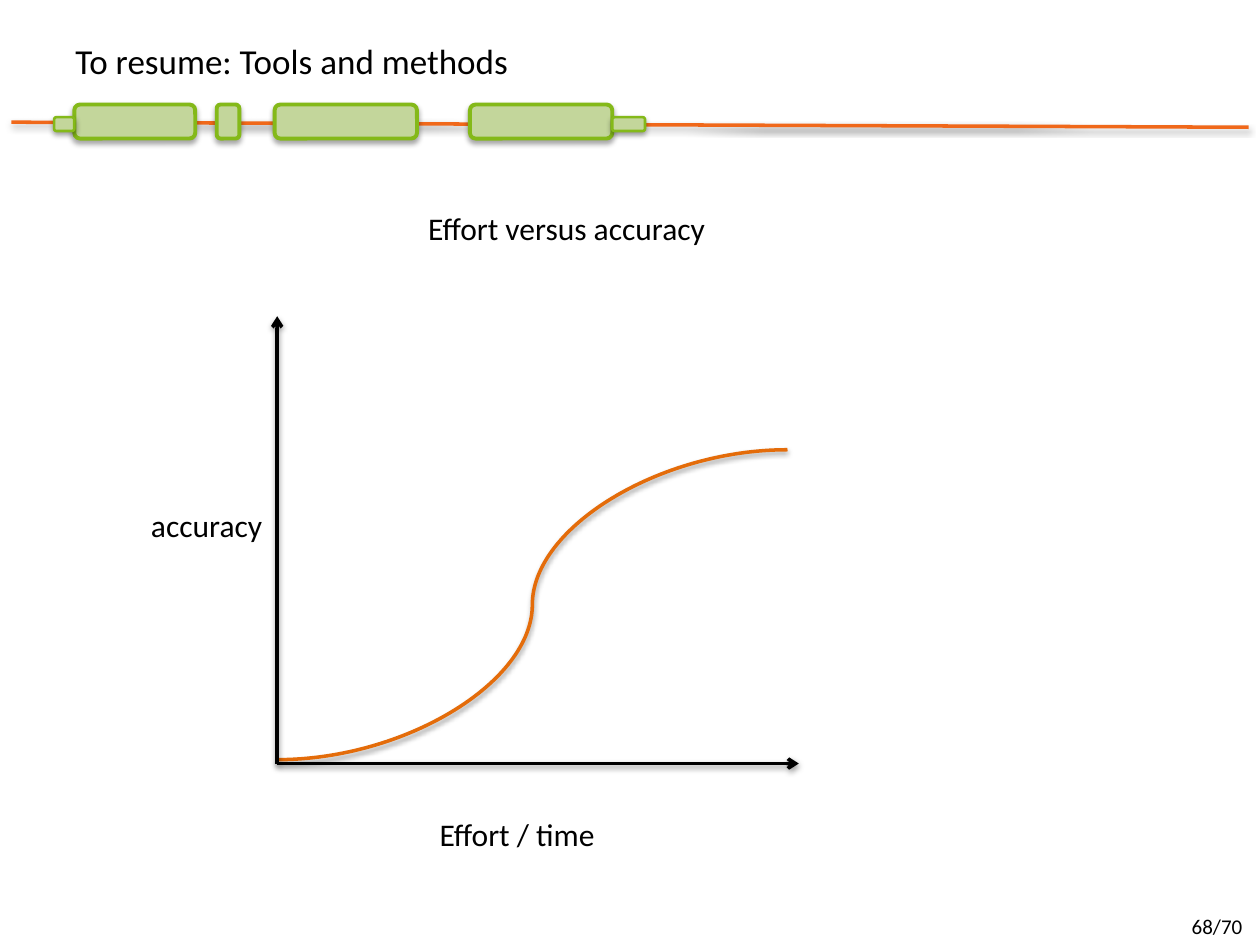
from dataclasses import dataclass

from lxml import etree
from pptx import Presentation
from pptx.dml.color import RGBColor
from pptx.enum import shapes, text
from pptx.oxml import ns
from pptx.util import Inches, Pt


@dataclass(frozen=True)
class Theme:
    font: str = "Calibri"
    ink: str = "000000"
    strand: str = "F0681A"
    exon_fill: str = "C3D69B"
    exon_line: str = "84B919"
    curve: str = "E46C0A"
    title_size: int = 20
    body_size: int = 18
    page_size: int = 12


def add_shadow(sp_pr, opacity, distance):
    """Soft shadow falling straight down."""
    effects = sp_pr.find(ns.qn("a:effectLst"))
    if effects is None:
        effects = etree.SubElement(sp_pr, ns.qn("a:effectLst"))
    shadow = etree.SubElement(
        effects, ns.qn("a:outerShdw"), blurRad=str(Pt(3.1)),
        dist=str(Pt(distance)), dir="5400000", rotWithShape="0")
    color = etree.SubElement(shadow, ns.qn("a:srgbClr"), val="000000")
    etree.SubElement(color, ns.qn("a:alpha"), val=str(opacity * 1000))


def write(frame, words, *, theme, size, wrap=True, anchor=text.MSO_ANCHOR.TOP):
    frame.word_wrap = wrap
    frame.vertical_anchor = anchor
    run = frame.paragraphs[0].add_run()
    run.text = words
    run.font.name = theme.font
    run.font.size = Pt(size)
    run.font.color.rgb = RGBColor.from_string(theme.ink)


class SlideBuilder:
    def __init__(self, slide, theme):
        self.slide = slide
        self.theme = theme

    def label(self, words, left, top, width, height, **style):
        box = self.slide.shapes.add_textbox(
            Inches(left), Inches(top), Inches(width), Inches(height))
        write(box.text_frame, words, theme=self.theme, **style)

    def line(self, start, end, color, kind=shapes.MSO_CONNECTOR.STRAIGHT, arrow=False):
        connector = self.slide.shapes.add_connector(
            kind, *(Inches(value) for value in (*start, *end)))
        connector.line.color.rgb = RGBColor.from_string(color)
        connector.line.width = Pt(2)
        if arrow:
            etree.SubElement(connector.line._get_or_add_ln(),
                             ns.qn("a:tailEnd"), type="arrow")
        add_shadow(connector._element.spPr, 38, 1.6)

    def exon(self, left, top, width, height, weight):
        block = self.slide.shapes.add_shape(
            shapes.MSO_SHAPE.ROUNDED_RECTANGLE,
            Inches(left), Inches(top), Inches(width), Inches(height))
        block.fill.solid()
        block.fill.fore_color.rgb = RGBColor.from_string(self.theme.exon_fill)
        block.line.color.rgb = RGBColor.from_string(self.theme.exon_line)
        block.line.width = Pt(weight)
        block.shadow.inherit = False
        add_shadow(block._element.spPr, 35, 1.8)


def main():
    deck = Presentation()
    deck.slide_width, deck.slide_height = Inches(10), Inches(7.5)
    theme = Theme()
    page = SlideBuilder(deck.slides.add_slide(deck.slide_layouts[6]), theme)

    # Gene model band: strand, coding exons, untranslated ends
    page.line((0.09, 0.97), (9.91, 1.01), theme.strand)
    for left, width in ((0.59, 0.96), (1.72, 0.18), (2.18, 1.13), (3.73, 1.13)):
        page.exon(left, 0.83, width, 0.27, weight=2.25)
    for left, width in ((4.86, 0.26), (0.43, 0.16)):
        page.exon(left, 0.93, width, 0.11, weight=1.5)

    # Headings
    page.label("To resume: Tools and methods", 0.5, 0.24, 3.75, 0.48,
               size=theme.title_size, anchor=text.MSO_ANCHOR.MIDDLE)
    page.label("Effort versus accuracy", 3.3, 1.61, 2.45, 0.4,
               size=theme.body_size, wrap=False)

    # Saturation curve and its axes
    origin = (2.2, 6.06)
    page.line((2.2, 6.03), (6.25, 3.57), theme.curve, kind=shapes.MSO_CONNECTOR.CURVE)
    for axis_end in ((2.2, 2.51), (6.34, 6.06)):
        page.line(origin, axis_end, theme.ink, arrow=True)

    # Axis names
    page.label("Effort / time", 3.39, 6.42, 1.82, 0.4, size=theme.body_size)
    page.label("accuracy", 1.1, 3.97, 1.1, 0.4, size=theme.body_size, wrap=False)

    # Page number
    page.label("68/70", 9.36, 7.2, 0.64, 0.3, size=theme.page_size)

    deck.save("out.pptx")


if __name__ == "__main__":
    main()
